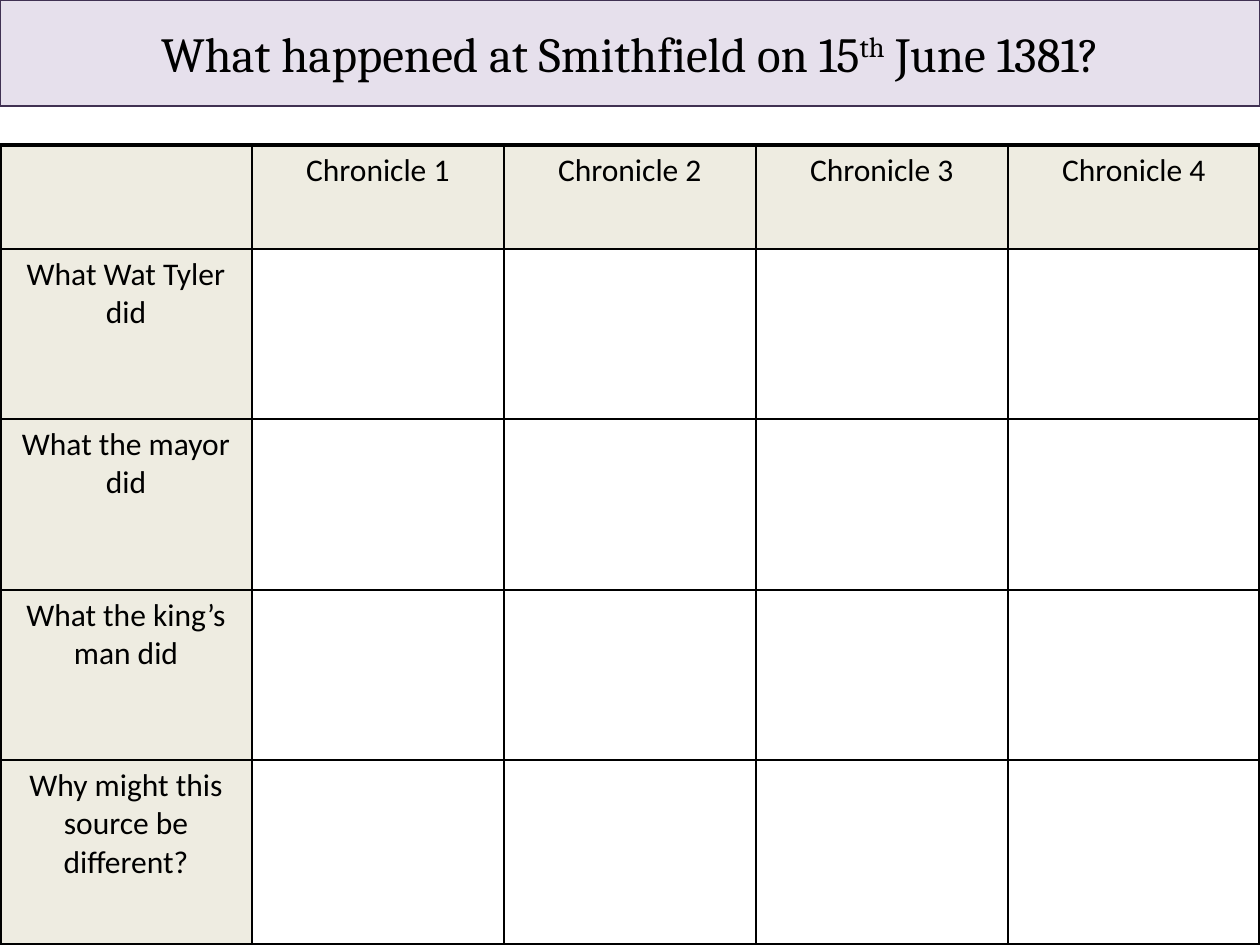
from lxml.etree import SubElement
from pptx import Presentation
from pptx.dml.color import RGBColor
from pptx.enum.shapes import MSO_SHAPE
from pptx.enum.text import MSO_ANCHOR, PP_ALIGN
from pptx.oxml.ns import qn
from pptx.util import Emu, Pt

SCALE = 914400 // 126
WIDTH, HEIGHT = 1260, 945
BLACK, CREAM, LILAC, PURPLE = "000000", "EEECE1", "E6E0EC", "403152"
THIN, THICK = 1, 2.25

TITLE = [("What happened at Smithfield on 15", 0), ("th", 30), (" June 1381?", 0)]
HEADS = ["", "Chronicle 1", "Chronicle 2", "Chronicle 3", "Chronicle 4"]
ASKS = ["What Wat Tyler did", "What the mayor did", "What the king’s man did",
        "Why might this source be different?"]
ROWS = [104, 170, 171, 170, 185]


def px(n):
    return Emu(n * SCALE)


def color(code):
    return RGBColor.from_string(code)


def style(font, name, size):
    font.name = name
    font.size = Pt(size)
    font.color.rgb = color(BLACK)


def add_title(slide):
    bar = slide.shapes.add_shape(MSO_SHAPE.RECTANGLE, 0, 0, px(WIDTH), px(106))
    bar.shadow.inherit = False
    bar.fill.solid()
    bar.fill.fore_color.rgb = color(LILAC)
    bar.line.color.rgb = color(PURPLE)
    bar.line.width = Pt(0.75)
    bar.text_frame.vertical_anchor = MSO_ANCHOR.MIDDLE
    para = bar.text_frame.paragraphs[0]
    para.alignment = PP_ALIGN.CENTER
    for text, rise in TITLE:
        run = para.add_run()
        run.text = text
        style(run.font, "Cambria", 28)
        if rise:
            run.font._element.set("baseline", str(rise * 1000))


def add_edge(cell, side, width):
    props = cell._tc.get_or_add_tcPr()
    line = SubElement(props, qn("a:ln" + side), w=str(Pt(width)))
    fill = SubElement(line, qn("a:solidFill"))
    SubElement(fill, qn("a:srgbClr"), val=BLACK)


def fill_cell(cell, text, shaded, outer):
    # Edges come before the fill in the cell properties
    for side in "LRTB":
        add_edge(cell, side, THICK if side in outer else THIN)
    if shaded:
        cell.fill.solid()
        cell.fill.fore_color.rgb = color(CREAM)
    else:
        cell.fill.background()
    cell.text_frame.text = text
    para = cell.text_frame.paragraphs[0]
    para.alignment = PP_ALIGN.CENTER
    style(para.font, "Calibri", 18)
    for run in para.runs:
        style(run.font, "Calibri", 18)


def add_grid(slide):
    count, wide = len(ROWS), len(HEADS)
    frame = slide.shapes.add_table(count, wide, 0, px(145), px(WIDTH), px(sum(ROWS)))
    table = frame.table
    table.first_row = table.horz_banding = False
    for col in table.columns:
        col.width = px(WIDTH // wide)
    for r, high in enumerate(ROWS):
        table.rows[r].height = px(high)
        for c in range(wide):
            # Sides of this cell that lie on the frame of the table
            outer = [side for side, hit in (("L", c == 0), ("R", c == wide - 1),
                                            ("T", r == 0), ("B", r == count - 1)) if hit]
            text = HEADS[c] if r == 0 else ASKS[r - 1] if c == 0 else ""
            fill_cell(table.cell(r, c), text, r == 0 or c == 0, outer)


def main():
    deck = Presentation()
    deck.slide_width, deck.slide_height = px(WIDTH), px(HEIGHT)
    slide = deck.slides.add_slide(deck.slide_layouts[6])
    add_title(slide)
    add_grid(slide)
    deck.save("out.pptx")


if __name__ == "__main__":
    main()
